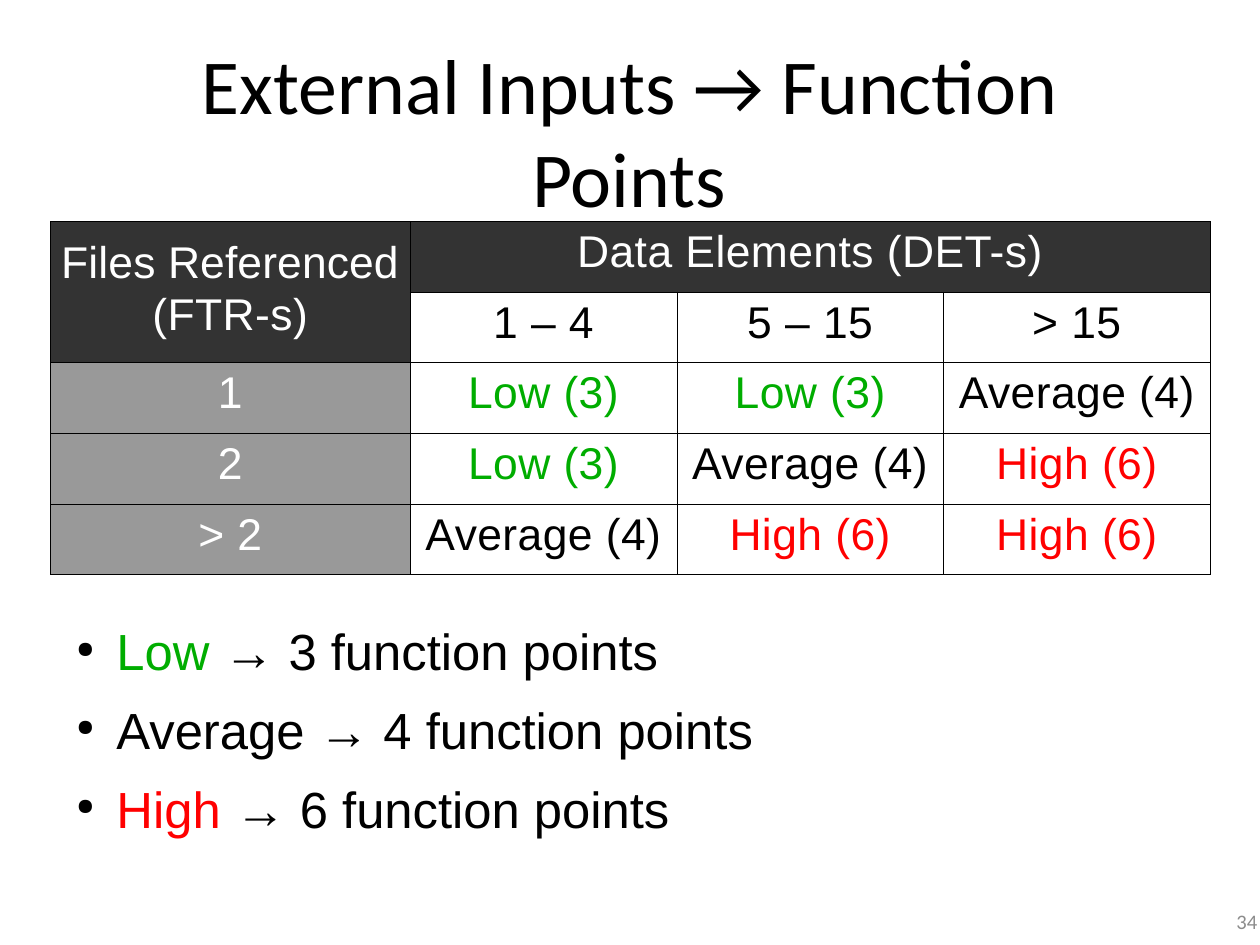
from lxml.etree import SubElement
from pptx import Presentation
from pptx.dml.color import RGBColor
from pptx.enum.text import MSO_ANCHOR as Anchor, PP_ALIGN as Align
from pptx.oxml.ns import qn
from pptx.util import Cm, Pt

BLACK = RGBColor(0x00, 0x00, 0x00)
WHITE = RGBColor(0xFF, 0xFF, 0xFF)
GREEN = RGBColor(0x00, 0xAD, 0x00)
RED = RGBColor(0xFF, 0x00, 0x00)
DARK = RGBColor(0x33, 0x33, 0x33)
GREY = RGBColor(0x99, 0x99, 0x99)
PALE = RGBColor(0x8C, 0x8C, 0x8C)
RATING_COLORS = {"Low": GREEN, "Average": BLACK, "High": RED}


class SlideBuilder:
    """Hold the style and the slide, and add one kind of element per method."""

    heading_font, body_font = "Calibri", "Arial"
    cell_size, bullet_size = 28, 32

    def __init__(self, slide):
        self.slide = slide

    def style(self, run, font, size, color, spacing=0):
        run.font.name = font
        run.font.size = Pt(size)
        run.font.color.rgb = color
        if spacing:
            run._r.get_or_add_rPr().set("spc", str(round(spacing * 100)))

    def frame(self, left, top, width, height, inset=0, anchor=Anchor.TOP):
        box = self.slide.shapes.add_textbox(Cm(left), Cm(top), Cm(width), Cm(height))
        frame = box.text_frame
        frame.word_wrap = True
        frame.vertical_anchor = anchor
        frame.margin_left = frame.margin_right = frame.margin_bottom = 0
        frame.margin_top = Cm(inset)
        return frame

    def line(self, text, place, size, color, align, leading=None):
        frame = self.frame(*place, anchor=Anchor.MIDDLE)
        frame.text = text
        paragraph = frame.paragraphs[0]
        paragraph.alignment = align
        if leading:
            paragraph.line_spacing = Pt(leading)
        self.style(paragraph.runs[0], self.heading_font, size, color)

    def bullets(self, items, place, inset):
        frame = self.frame(*place, inset=inset)
        for index, (rating, meaning) in enumerate(items):
            paragraph = frame.add_paragraph() if index else frame.paragraphs[0]
            paragraph.space_before = Pt(11.3)
            for text, color in ((rating, RATING_COLORS[rating]), (meaning, BLACK)):
                run = paragraph.add_run()
                run.text = text
                self.style(run, self.body_font, self.bullet_size, color)
            properties = paragraph._p.get_or_add_pPr()
            properties.set("marL", str(Cm(0.94)))
            properties.set("indent", str(Cm(-0.89)))
            bullet_color = SubElement(properties, qn("a:buClr"))
            SubElement(bullet_color, qn("a:srgbClr"), val=str(BLACK))
            SubElement(properties, qn("a:buSzPct"), val="45000")
            SubElement(properties, qn("a:buChar"), char="●")

    def borders(self, cell, open_side=None):
        properties = cell._tc.get_or_add_tcPr()
        for side in "LRTB":
            edge = SubElement(properties, qn(f"a:ln{side}"), w=str(Pt(0.25)))
            if side == open_side:
                SubElement(edge, qn("a:noFill"))
            else:
                fill = SubElement(edge, qn("a:solidFill"))
                SubElement(fill, qn("a:srgbClr"), val=str(BLACK))

    def cell(self, cell, text, color, fill, inset, open_side=None):
        self.borders(cell, open_side)
        if fill is None:
            cell.fill.background()
        else:
            cell.fill.solid()
            cell.fill.fore_color.rgb = fill
        cell.margin_left = cell.margin_right = cell.margin_bottom = 0
        cell.margin_top = Cm(inset)
        cell.text = text
        paragraph = cell.text_frame.paragraphs[0]
        paragraph.alignment = Align.CENTER
        for run in paragraph.runs:
            self.style(run, self.body_font, self.cell_size, color, 0.3 if column_is_narrow(text) else 0.1)
        return paragraph

    def matrix(self, rows, place, widths, heights):
        left, top = place
        table = self.slide.shapes.add_table(
            len(rows), len(widths), Cm(left), Cm(top), Cm(sum(widths)), Cm(sum(heights))
        ).table
        table.first_row = table.horz_banding = False
        for column, width in zip(table.columns, widths):
            column.width = Cm(width)
        for row, height in zip(table.rows, heights):
            row.height = Cm(height)
        for r, row in enumerate(rows):
            for c, text in enumerate(row):
                header = r == 0 or (r == 1 and c == 0)
                fill = DARK if header else GREY if c == 0 else None
                color = WHITE if fill else RATING_COLORS.get(text.split(" ")[0], BLACK)
                inset = (0.38, 0)[r] if c == 0 and r < 2 else 0.14
                open_side = "BT"[r] if c == 0 and r < 2 else None
                paragraph = self.cell(table.cell(r, c), text, color, fill, inset, open_side)
                if c == 0 and r == 1:
                    paragraph.line_spacing = Pt(29.9)
        table.cell(0, 1).merge(table.cell(0, len(widths) - 1))


def column_is_narrow(text):
    """Tell whether a label is short enough for wider letter spacing."""
    return not text.startswith("Files")


presentation = Presentation()
presentation.slide_width, presentation.slide_height = Cm(28.02), Cm(21.01)
builder = SlideBuilder(presentation.slides.add_slide(presentation.slide_layouts[6]))

builder.line("External Inputs → Function Points", (2.21, 1.93, 23.57, 1.93), 49, BLACK, Align.CENTER)
builder.line("34", (27.05, 19.94, 0.91, 0.81), 13, PALE, Align.RIGHT, 22.9)

low, average, high = "Low (3)", "Average (4)", "High (6)"
complexity = [
    ["Files Referenced", "Data Elements (DET-s)", "", ""],
    ["(FTR-s)", "1 – 4", "5 – 15", "> 15"],
    ["1", low, low, average],
    ["2", low, average, high],
    ["> 2", average, high, high],
]
builder.matrix(complexity, (1.12, 4.92), [8] + [5.93] * 3, [1.57] * len(complexity))

points = {"Low": 3, "Average": 4, "High": 6}
meanings = [(rating, f" → {count} function points") for rating, count in points.items()]
builder.bullets(meanings, (1.65, 13.36, 15.14, 5.33), 0.43)

presentation.save("out.pptx")
